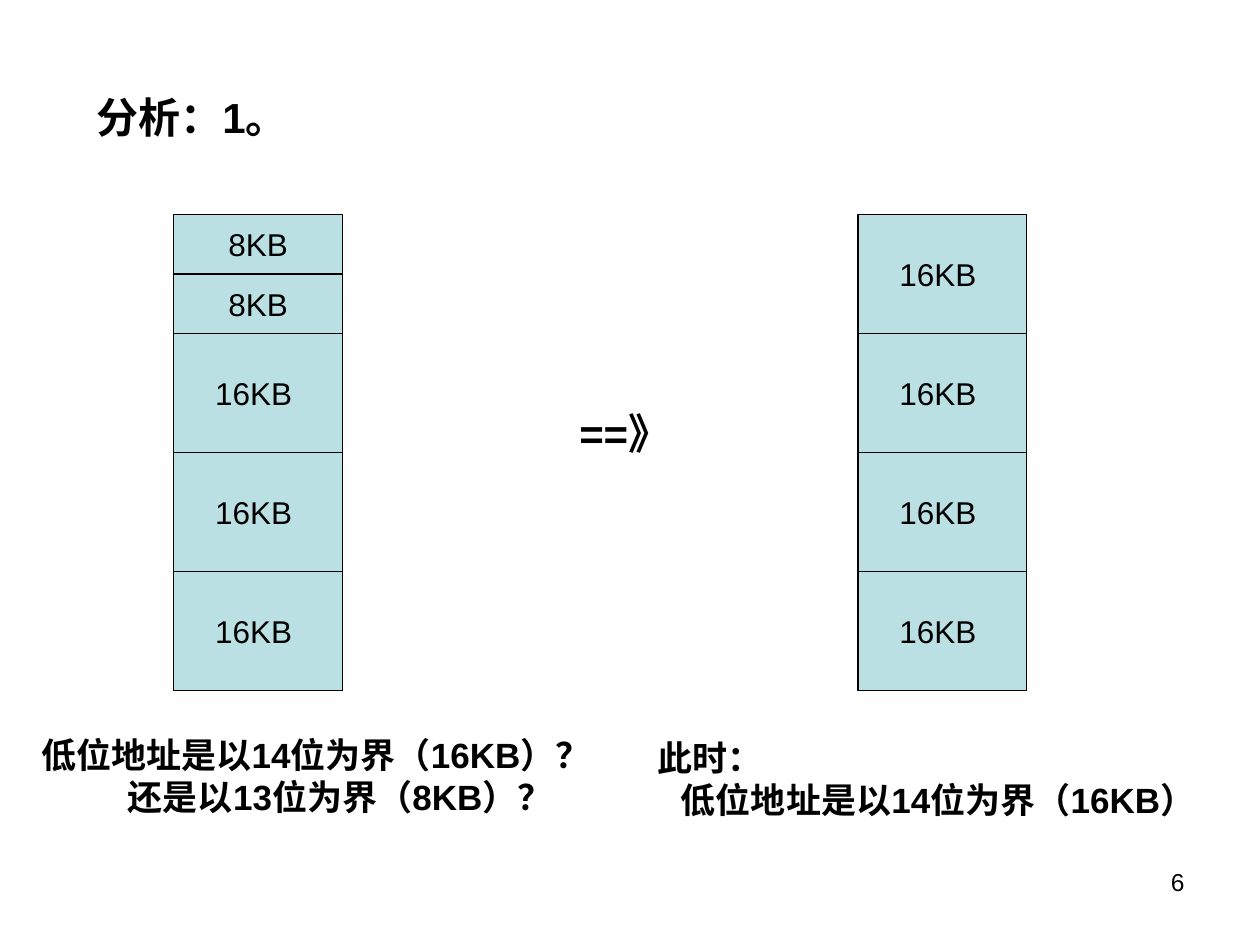
from dataclasses import dataclass

import pptx
import pptx.dml.color
import pptx.enum.shapes
import pptx.enum.text
import pptx.util

Pt = pptx.util.Pt
Align = pptx.enum.text.PP_ALIGN
Anchor = pptx.enum.text.MSO_ANCHOR
AutoSize = pptx.enum.text.MSO_AUTO_SIZE

BLACK = pptx.dml.color.RGBColor(0x00, 0x00, 0x00)
BLOCK_FILL = pptx.dml.color.RGBColor(0xBB, 0xE0, 0xE3)
FONT = "Arial"

STACK_TOP = 122.5
BLOCK_WIDTH = 96.5
POINTS_PER_KB = 4.25


@dataclass
class MemoryStack:
    left: float
    sizes_kb: tuple[int, ...]


@dataclass
class Label:
    left: float
    top: float
    width: float
    height: float
    lines: tuple[str, ...]
    size: float
    bold: bool = True
    align: Align = Align.LEFT
    anchor: Anchor = Anchor.TOP
    wrap: bool = False
    grow: bool = True
    last_indent: float = 0


STACKS = (
    MemoryStack(99.25, (8, 8, 16, 16, 16)),
    MemoryStack(490.25, (16, 16, 16, 16)),
)

LABELS = (
    Label(48, 49, 584, 36, ("分析：1。",), 24, wrap=True),
    Label(320.25, 224.75, 73.5, 45, ("==》",), 24,
          align=Align.CENTER, anchor=Anchor.MIDDLE, grow=False),
    Label(16.5, 415.5, 347, 55.5,
          ("低位地址是以14位为界（16KB）？", "还是以13位为界（8KB）？"),
          20, last_indent=49.5),
    Label(368.5, 417.5, 341.5, 55.5,
          ("此时：", "低位地址是以14位为界（16KB）"), 20, last_indent=13.5),
    Label(516, 492, 168, 37.5, ("6",), 14, bold=False,
          align=Align.RIGHT, wrap=True, grow=False),
)


def write_text(text_frame, lines: tuple[str, ...], *, size: float,
               bold: bool = False, align: Align = Align.CENTER,
               anchor: Anchor = Anchor.MIDDLE, wrap: bool = False,
               grow: bool = False, last_indent: float = 0) -> None:
    """Fill a text frame, one paragraph a line; last_indent shifts the last one."""
    text_frame.word_wrap = wrap
    text_frame.auto_size = AutoSize.SHAPE_TO_FIT_TEXT if grow else AutoSize.NONE
    text_frame.vertical_anchor = anchor
    text_frame.text = "\n".join(lines)
    for paragraph in text_frame.paragraphs:
        paragraph.alignment = align
        for run in paragraph.runs:
            run.font.name = FONT
            run.font.size = Pt(size)
            run.font.bold = bold
            run.font.color.rgb = BLACK
    if last_indent:
        properties = text_frame.paragraphs[-1]._p.get_or_add_pPr()
        properties.set("marL", str(Pt(last_indent)))
        properties.set("indent", "0")


def draw_stack(slide: pptx.slide.Slide, stack: MemoryStack) -> None:
    top = STACK_TOP
    for size_kb in stack.sizes_kb:
        height = size_kb * POINTS_PER_KB
        shape = slide.shapes.add_shape(
            pptx.enum.shapes.MSO_SHAPE.RECTANGLE,
            Pt(stack.left), Pt(top), Pt(BLOCK_WIDTH), Pt(height))
        shape.shadow.inherit = False
        shape.fill.solid()
        shape.fill.fore_color.rgb = BLOCK_FILL
        shape.line.color.rgb = BLACK
        shape.line.width = Pt(0.75)
        text = "8KB" if size_kb == 8 else f"{size_kb}KB "
        write_text(shape.text_frame, (text,), size=18)
        top += height


def draw_label(slide: pptx.slide.Slide, label: Label) -> None:
    shape = slide.shapes.add_textbox(
        Pt(label.left), Pt(label.top), Pt(label.width), Pt(label.height))
    write_text(shape.text_frame, label.lines, size=label.size, bold=label.bold,
               align=label.align, anchor=label.anchor, wrap=label.wrap,
               grow=label.grow, last_indent=label.last_indent)


def main() -> None:
    presentation = pptx.Presentation()
    presentation.slide_width = Pt(720)
    presentation.slide_height = Pt(540)
    slide = presentation.slides.add_slide(presentation.slide_layouts[6])
    for stack in STACKS:
        draw_stack(slide, stack)
    for label in LABELS:
        draw_label(slide, label)
    presentation.save("out.pptx")


if __name__ == "__main__":
    main()
